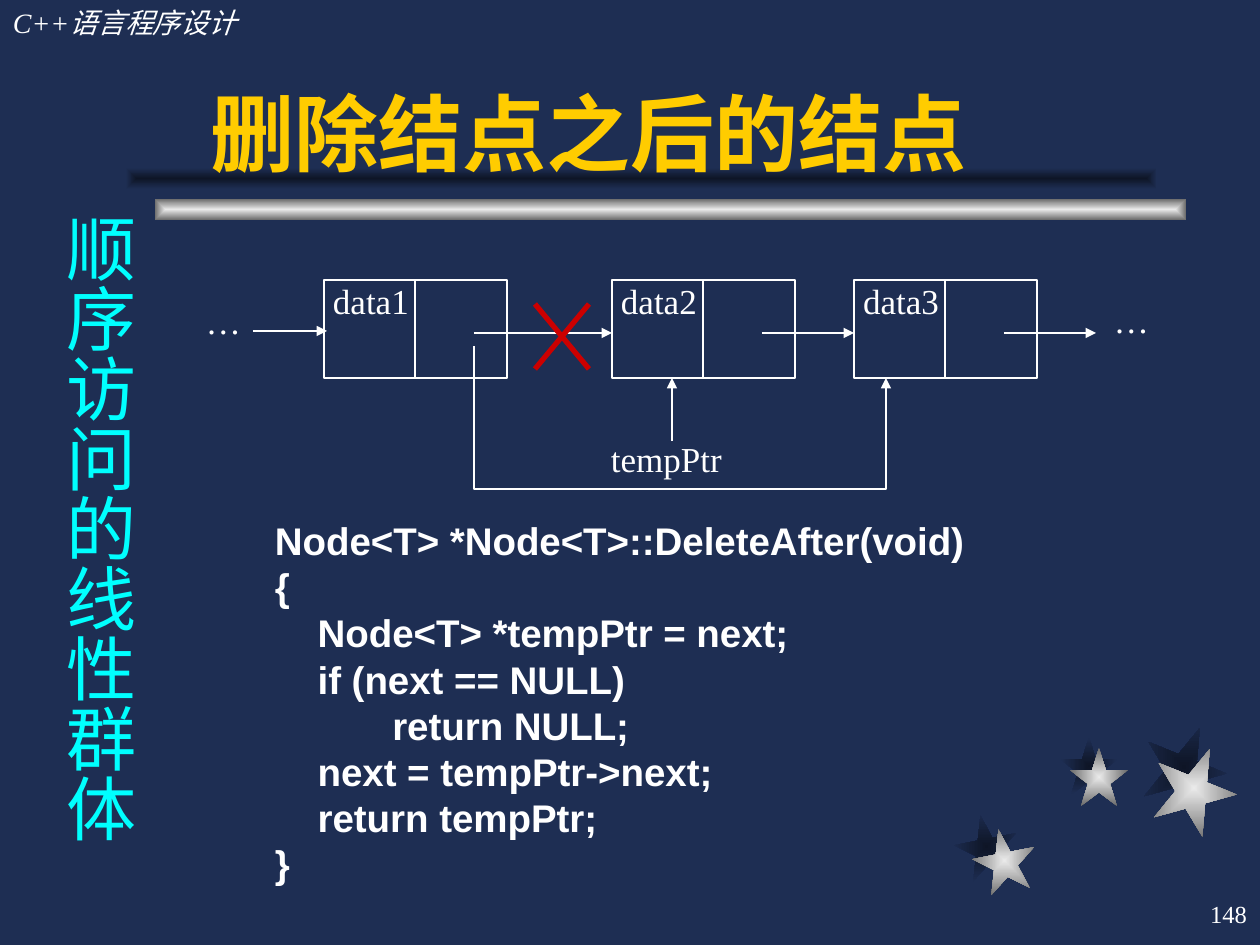
from lxml import etree
from pptx import Presentation
from pptx.dml.color import RGBColor
from pptx.enum.shapes import MSO_CONNECTOR, MSO_SHAPE
from pptx.enum.text import MSO_ANCHOR, PP_ALIGN
from pptx.oxml import parse_xml
from pptx.oxml.ns import nsdecls, qn
from pptx.util import Pt

# Content
HEADER = "C++语言程序设计"
TITLE = "删除结点之后的结点"
SIDE_TITLE = "顺序访问的线性群体"
PAGE_NUMBER = "148"
CODE = [
    "Node<T> *Node<T>::DeleteAfter(void)",
    "{",
    "    Node<T> *tempPtr = next;",
    "    if (next == NULL)",
    "           return NULL;",
    "    next = tempPtr->next;",
    "    return tempPtr;",
    "}",
]
NODES = [("data1", 324), ("data2", 612), ("data3", 854)]
LIST_END = 1096

# Decoration: (left, top, size, rotation) and (left, top)
SHADOW_STARS = [(955, 815, 63, -11), (1060, 737, 58, 0), (1142, 725, 84, 22)]
LIGHT_STARS = [(973, 829, 63, -11), (1070, 748, 58, 0), (1152, 746, 84, 22)]
LIGHT_BAR, SHADOW_BAR, BAR_SIZE = (155, 199), (126, 168), (1031, 21)

# Style
NAVY, WHITE, YELLOW, CYAN, RED = "1E2E53", "FFFFFF", "FFCC00", "00FFFF", "CC0000"
SHADOW, SILVER = ("0E1526", NAVY), ("EAEAEA", "6C6C6C")
SERIF, SANS, CJK = "Times New Roman", "Arial", "Noto Sans CJK SC"
NODE_TOP, NODE_WIDTH, NODE_HEIGHT = 280, 183, 98
NODE_BOTTOM = NODE_TOP + NODE_HEIGHT
DIVIDER, POINTER, LINK_Y = 91, 150, 333
INSETS = (13, 6, 13, 6)
NONE = (0, 0, 0, 0)


def px(value):
    return round(value * 914400 / 126)


def color(value):
    return RGBColor.from_string(value)


def style_line(shape, line_color=WHITE, width=0.75, arrow=False):
    shape.line.color.rgb = color(line_color)
    shape.line.width = Pt(width)
    if arrow:
        etree.SubElement(shape.line._get_or_add_ln(), qn("a:tailEnd"), type="triangle")


def add_line(page, start, end, line_color=WHITE, width=0.75, arrow=False):
    line = page.shapes.add_connector(MSO_CONNECTOR.STRAIGHT, *map(px, start + end))
    style_line(line, line_color, width, arrow)
    etree.SubElement(line._element.spPr, qn("a:effectLst"))


def write(shape, lines, size, font=SERIF, text_color=WHITE, bold=False, italic=False,
          align=PP_ALIGN.LEFT, anchor=MSO_ANCHOR.TOP, insets=INSETS):
    frame = shape.text_frame
    frame.word_wrap = True
    frame.vertical_anchor = anchor
    (frame.margin_left, frame.margin_top,
     frame.margin_right, frame.margin_bottom) = map(px, insets)
    for index, line in enumerate(lines):
        para = frame.add_paragraph() if index else frame.paragraphs[0]
        para.alignment = align
        span = para.add_run()
        span.text = line
        span.font.size = Pt(size)
        span.font.name = font
        span.font.bold = bold
        span.font.italic = italic
        span.font.color.rgb = color(text_color)
        etree.SubElement(span.font._element, qn("a:ea"), typeface=CJK)


def add_text(page, bounds, lines, size, **style):
    box = page.shapes.add_textbox(*map(px, bounds))
    write(box, lines, size, **style)
    return box


def add_gradient(page, kind, bounds, colors, rotation=0):
    shape = page.shapes.add_shape(kind, *map(px, bounds))
    shape.rotation = rotation
    shape.fill.background()
    shape.line.fill.background()
    shape.shadow.inherit = False
    stops = "".join(
        f'<a:gs pos="{pos}"><a:srgbClr val="{value}"/></a:gs>'
        for pos, value in zip((0, 100000), colors))
    gradient = parse_xml(
        f'<a:gradFill {nsdecls("a")} rotWithShape="1"><a:gsLst>{stops}</a:gsLst>'
        '<a:path path="rect"><a:fillToRect l="50000" t="50000" r="50000" b="50000"/>'
        '</a:path></a:gradFill>')
    properties = shape._element.spPr
    properties.replace(properties.find(qn("a:noFill")), gradient)


def add_node(page, label, left, target):
    node = page.shapes.add_shape(
        MSO_SHAPE.RECTANGLE, *map(px, (left, NODE_TOP, NODE_WIDTH, NODE_HEIGHT)))
    node.fill.background()
    node.shadow.inherit = False
    style_line(node)
    write(node, [label], 20, insets=(9, 0, 0, 0))
    middle = left + DIVIDER
    add_line(page, (middle, NODE_TOP), (middle, NODE_BOTTOM))
    add_line(page, (left + POINTER, LINK_Y), (target, LINK_Y), arrow=True)


def add_bypass(page):
    start = NODES[0][1] + POINTER
    end, bottom = 886, 489
    builder = page.shapes.build_freeform(px(start), px(346))
    corners = [(start, bottom), (end, bottom), (end, NODE_BOTTOM)]
    builder.add_line_segments([(px(x), px(y)) for x, y in corners], close=False)
    bypass = builder.convert_to_shape()
    bypass.fill.background()
    bypass.shadow.inherit = False
    style_line(bypass, arrow=True)


def main():
    deck = Presentation()
    deck.slide_width, deck.slide_height = px(1260), px(945)
    page = deck.slides.add_slide(deck.slide_layouts[6])
    page.background.fill.solid()
    page.background.fill.fore_color.rgb = color(NAVY)

    # Stars and title rule
    for stars, colors in ((SHADOW_STARS, SHADOW), (LIGHT_STARS, SILVER)):
        for left, top, size, rotation in stars:
            add_gradient(page, MSO_SHAPE.STAR_5_POINT, (left, top, size, size),
                         colors, rotation)
    for corner, colors in ((LIGHT_BAR, SILVER), (SHADOW_BAR, SHADOW)):
        add_gradient(page, MSO_SHAPE.RECTANGLE, corner + BAR_SIZE, colors)

    # Header, page number and titles
    add_text(page, (0, 0, 388, 47), [HEADER], 16, italic=True)
    add_text(page, (998, 882, 262, 63), [PAGE_NUMBER], 14,
             align=PP_ALIGN.RIGHT, anchor=MSO_ANCHOR.MIDDLE)
    add_text(page, (179, 31, 987, 157), [TITLE], 48, font=SANS, text_color=YELLOW,
             bold=True, anchor=MSO_ANCHOR.BOTTOM, insets=(32, 6, 13, 6))
    side = add_text(page, (39, 201, 108, 660), [SIDE_TITLE], 40, font=CJK,
                    text_color=CYAN, insets=(6, 13, 6, 13))
    side.text_frame._txBody.bodyPr.set("vert", "eaVert")

    # Linked list
    targets = [left for _, left in NODES[1:]] + [LIST_END]
    for (label, left), target in zip(NODES, targets):
        add_node(page, label, left, target)
    add_line(page, (253, 331), (327, 331), arrow=True)
    add_text(page, (189, 300, 69, 78), ["…"], 20, align=PP_ALIGN.CENTER, insets=NONE)
    add_text(page, (1081, 292, 101, 107), ["…"], 20, align=PP_ALIGN.CENTER)

    # Removed link, its bypass and the temporary pointer
    add_bypass(page)
    for start_x, end_x in ((589, 535), (535, 589)):
        add_line(page, (start_x, 304), (end_x, 369), RED, 3)
    add_text(page, (598, 431, 136, 55), ["tempPtr"], 20, insets=(13, 6, 0, 6))
    add_line(page, (672, 441), (672, NODE_BOTTOM), arrow=True)

    # Code
    add_text(page, (262, 511, 955, 383), CODE, 22, font=SANS, bold=True)

    deck.save("out.pptx")


if __name__ == "__main__":
    main()
